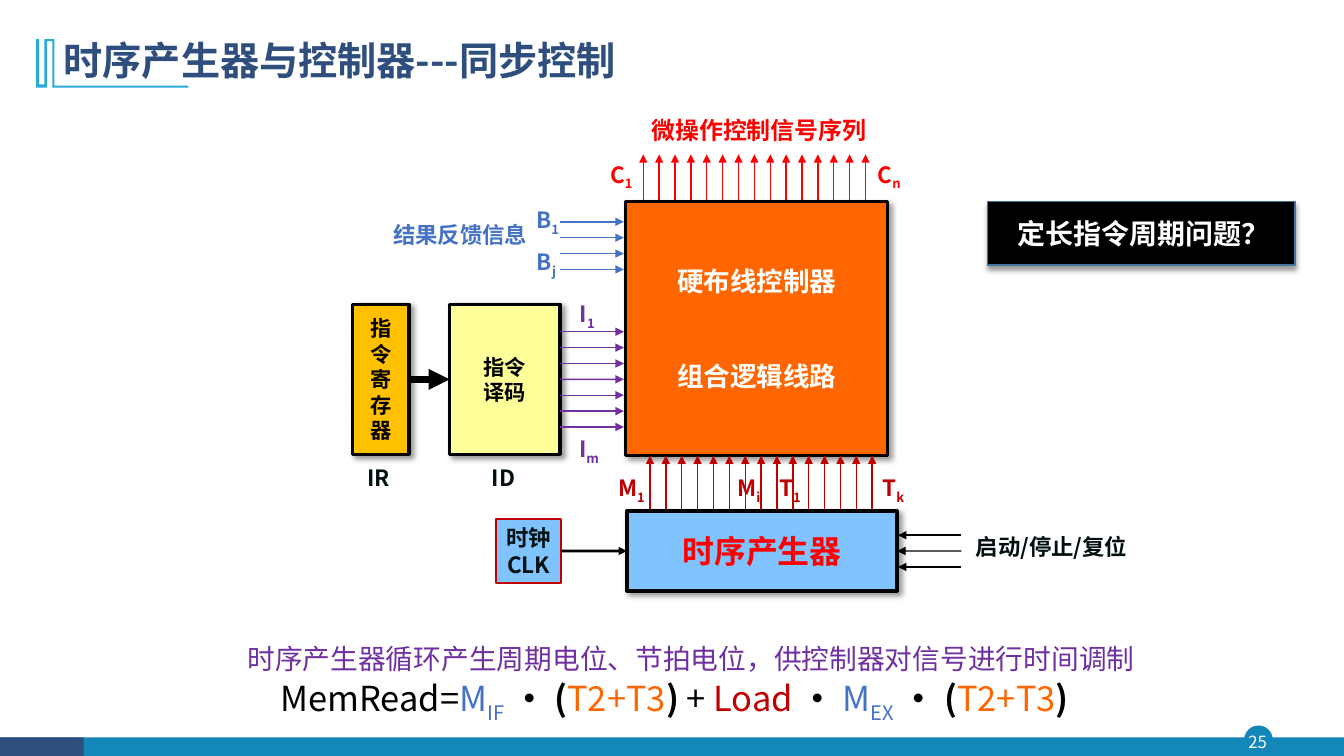
"""Build the slide on the timing generator and the hardwired controller."""
import lxml.etree
import pptx
import pptx.dml.color
import pptx.enum.shapes
import pptx.enum.text
import pptx.oxml.ns
import pptx.util

Cm, Pt, qn = pptx.util.Cm, pptx.util.Pt, pptx.oxml.ns.qn
SHAPE = pptx.enum.shapes.MSO_SHAPE
ALIGN = pptx.enum.text.PP_ALIGN
ANCHOR = pptx.enum.text.MSO_ANCHOR
FONT = "Noto Sans CJK SC"
RED, WINE, BLUE, PLUM = "FF0000", "C00000", "4472C4", "7030A0"
BLACK, WHITE, INK, FLAME, SKY = "000000", "FFFFFF", "001010", "FF6600", "7FC4FF"
TEAL, NAVY = "1387B7", "2E4E7E"
GAP = 0.4


def color(code):
    """Turn a hex string into a colour."""
    return pptx.dml.color.RGBColor.from_string(code)


def add(parent, tag, **attrs):
    """Append a drawing element."""
    return lxml.etree.SubElement(parent, qn(tag), attrs)


def style(run, size, hue, bold=False, low=False, face=FONT):
    """Format one run."""
    font = run.font
    font.size, font.bold, font.name = Pt(size), bold, face
    font.color.rgb = color(hue)
    props = run._r.get_or_add_rPr()
    add(props, "a:ea", typeface=FONT)
    if low:
        props.set("baseline", "-25000")


def write(frame, text, size, hue, bold=True, face=FONT, gap=0):
    """Fill a frame with centred lines of one style."""
    frame.text = text
    for k, para in enumerate(frame.paragraphs):
        para.alignment = ALIGN.CENTER
        para.line_spacing = Pt(round(size * 1.2, 1))
        if k:
            para.space_before = Pt(gap)
        for run in para.runs:
            style(run, size, hue, bold, face=face)


def blend(frame, size, parts):
    """Fill a frame with one line of (text, hue, bold, low) parts."""
    para = frame.paragraphs[0]
    para.alignment = ALIGN.CENTER
    para.line_spacing = Pt(round(size * 1.4, 1))
    for text, hue, bold, low in parts:
        run = para.add_run()
        run.text = text
        style(run, size, hue, bold, low)


def area(slide, x, y, w, h=0.94, wrap=True):
    """Add an empty text box and return its frame."""
    frame = slide.shapes.add_textbox(Cm(x), Cm(y), Cm(w), Cm(h)).text_frame
    frame.word_wrap = wrap
    return frame


def label(slide, x, y, w, name, hue):
    """Add a signal name whose second letter is a subscript."""
    parts = [(name[0], hue, True, False), (name[1], hue, True, True)]
    blend(area(slide, x, y, w, wrap=False), 16, parts)


def block(slide, x, y, w, h, fill, edge=None, width=2.5, turn=None, kind=SHAPE.RECTANGLE):
    """Add a filled shape, with a shadow cast at an angle if one is given."""
    shape = slide.shapes.add_shape(kind, Cm(x), Cm(y), Cm(w), Cm(h))
    shape.fill.solid()
    shape.fill.fore_color.rgb = color(fill)
    if edge:
        shape.line.color.rgb = color(edge)
        shape.line.width = Pt(width)
    else:
        shape.line.fill.background()
    shape.shadow.inherit = False
    if turn:
        effects = shape.element.spPr.find(qn("a:effectLst"))
        cast = add(effects, "a:outerShdw", blurRad=str(Pt(4)), dist=str(Pt(3)),
                   dir=str(turn * 60000), algn="ctr", rotWithShape="0")
        add(add(cast, "a:srgbClr", val=BLACK), "a:alpha", val="40000")
    shape.text_frame.vertical_anchor = ANCHOR.MIDDLE
    shape.text_frame.word_wrap = True
    return shape


def arrow(slide, x, y, dx, dy, hue, width=1):
    """Add an arrow from a point along an offset."""
    line = slide.shapes.add_connector(pptx.enum.shapes.MSO_CONNECTOR.STRAIGHT,
                                      Cm(x), Cm(y), Cm(x + dx), Cm(y + dy))
    line.line.color.rgb = color(hue)
    line.line.width = Pt(width)
    props = line.element.spPr
    add(props.find(qn("a:ln")), "a:tailEnd", type="triangle")
    add(props, "a:effectLst")
    return line


def fan(slide, x, y, dx, dy, count, hue):
    """Add parallel arrows spaced across their direction."""
    across, down = (0, GAP) if dx else (GAP, 0)
    return [arrow(slide, x + k * across, y + k * down, dx, dy, hue) for k in range(count)]


def join(tail, head, line):
    """Join a line from the right side of one block to the left of another."""
    line.begin_connect(tail, 3)
    line.end_connect(head, 1)


def footer(slide, x, y, w, h):
    """Draw the bottom bar and the page number."""
    block(slide, x + 31.37, y - 0.28, 0.69, 0.69, TEAL, TEAL, 1, kind=SHAPE.OVAL)
    block(slide, x, y, w, h, TEAL)
    block(slide, x, y, 2.11, h, NAVY)
    frame = area(slide, x + 31.29, y - 0.28, 0.81, 0.79)
    frame.margin_left = frame.margin_right = frame.margin_top = frame.margin_bottom = 0
    frame.vertical_anchor = ANCHOR.MIDDLE
    write(frame, "25", 12, WHITE, False)


def header(slide, x, y, w, h):
    """Draw the corner mark and place the title."""
    edge = [(0.46, 0), (0.46, 1.17), (3.84, 1.17), (3.84, 1.22), (0.41, 1.22), (0.41, 0.05),
            (0.28, 0.05), (0.28, 1.22), (0, 1.22), (0, 0), (0.08, 0), (0.08, 1.14),
            (0.21, 1.14), (0.21, 0)]
    dots = [(Cm(x + a), Cm(y + b)) for a, b in edge]
    outline = slide.shapes.build_freeform(*dots[0])
    outline.add_line_segments(dots[1:], close=True)
    mark = outline.convert_to_shape()
    mark.fill.solid()
    mark.fill.fore_color.rgb = color("28A9D6")
    mark.line.fill.background()
    mark.shadow.inherit = False
    title = slide.shapes.title
    title.left, title.top, title.width, title.height = Cm(x + 0.44), Cm(y - 0.28), Cm(w), Cm(h)
    frame = title.text_frame
    frame.text = "时序产生器与控制器---同步控制"
    frame.vertical_anchor = ANCHOR.MIDDLE
    para = frame.paragraphs[0]
    para.alignment, para.line_spacing = ALIGN.LEFT, 0.9
    style(para.runs[0], 28, NAVY, True)


def control(slide, x, y, w, h):
    """Draw the controller with its outputs and feedback."""
    write(area(slide, x + 0.36, y - 2.29, 5.99, 0.99, False), "微操作控制信号序列", 17.1, RED)
    fan(slide, x + 0.44, y, 0, -1.19, 15, RED)
    label(slide, x - 0.68, y - 1.17, 1.14, "C1", RED)
    label(slide, x + 6.07, y - 1.17, 1.14, "Cn", RED)
    fan(slide, x - 1.65, y + 0.51, 1.6, 0, 4, BLUE)
    label(slide, x - 2.54, y - 0.03, 1.14, "B1", BLUE)
    label(slide, x - 2.51, y + 1.04, 1.02, "Bj", BLUE)
    write(area(slide, x - 6.14, y + 0.38, 3.94, wrap=False), "结果反馈信息", 16, BLUE)
    core = block(slide, x, y, w, h, FLAME, BLACK, turn=45)
    write(core.text_frame, "硬布线控制器\n组合逻辑线路", 19, WHITE, face="Karla", gap=45)


def decode(slide, x, y, w, h):
    """Draw the instruction register and the decoder."""
    store = block(slide, x, y, 1.42, h, "FFC000", BLACK, turn=45)
    write(store.text_frame, "指令寄存器", 15.2, BLACK, face="Karla")
    coder = block(slide, x + w - 2.79, y, 2.79, h, "FFFF99", BLACK, turn=45)
    write(coder.text_frame, "指令\n译码", 15.2, BLACK, face="Karla")
    join(store, coder, arrow(slide, x + 1.42, y + h / 2, 1, 0, BLACK, 5))
    for name, shift in (("IR", 0), ("ID", 3.15)):
        write(area(slide, x + shift, y + h + 0.13, 1.3), name, 16, INK)
    lines = fan(slide, x + w, y + h / 2 - 3 * GAP, 1.6, 0, 7, PLUM)
    lines[3].begin_connect(coder, 3)
    label(slide, x + w + 0.21, y - 0.25, 0.94, "I1", PLUM)
    label(slide, x + w + 0.18, y + h - 0.63, 1.09, "Im", PLUM)


def timing(slide, x, y, w, h):
    """Draw the timing generator, its clock, inputs and outputs."""
    fan(slide, x + 0.58, y, 0, -1.4, 15, WINE)
    for name, shift, wide in (("M1", -0.56, 1.35), ("Mi", 2.46, 1.22),
                              ("T1", 3.55, 1.12), ("Tk", 6.17, 1.09)):
        label(slide, x + shift, y - 1.07, wide, name, WINE)
    timer = block(slide, x, y, w, h, SKY, BLACK, turn=45)
    write(timer.text_frame, "时序产生器", 22.8, RED, face="Karla")
    clock = block(slide, x - 3.3, y + h / 2 - 0.81, 1.65, 1.62, SKY, WINE, 1.5)
    clock.text_frame.word_wrap = False
    write(clock.text_frame, "时钟\nCLK", 16, INK)
    join(clock, timer, arrow(slide, x - 1.65, y + h / 2, 1.65, 0, BLACK, 2))
    lines = fan(slide, x + w + 1.62, y + h / 2 - GAP, -1.6, 0, 3, BLACK)
    lines[1].end_connect(timer, 3)
    write(area(slide, x + 7.92, y + 0.43, 5.56), "启动/停止/复位", 16, INK)


def query(slide, x, y, w, h):
    """Draw the question panel."""
    block(slide, x, y, w, h, BLACK, "43739E", 1, turn=90)
    write(area(slide, x + 0.26, y + 0.25, w - 0.41, 1.12), "定长指令周期问题？", 20, WHITE)


def notes(slide, x, y, w, h):
    """Write the summary and the formula."""
    blend(area(slide, x + 1.55, y, 27.66, 1.22), 34.1, [
        ("时序产生器循环产生周期电位、节拍电位，供控制器对信号进行时间调制", PLUM, False, True)])
    beat = [(" · (", BLACK, True, False), ("T2+T3", FLAME, False, False)]
    blend(area(slide, x, y + h - 1.32, w, 1.32), 24.6, [
        ("MemRead=", BLACK, False, False), ("M", BLUE, False, False), ("IF", BLUE, False, True),
        *beat, (") ", BLACK, True, False), ("+ ", BLACK, False, False),
        ("Load ", WINE, False, False), ("· ", BLACK, True, False),
        ("M", BLUE, False, False), ("EX", BLUE, False, True),
        *beat, (")", BLACK, True, False)])


def main():
    """Build and save the slide."""
    deck = pptx.Presentation()
    deck.slide_width, deck.slide_height = Cm(33.87), Cm(19.05)
    slide = deck.slides.add_slide(deck.slide_layouts[5])
    footer(slide, 0, 18.58, 33.87, 0.47)
    header(slide, 0.91, 0.99, 29.21, 1.73)
    decode(slide, 8.89, 7.67, 5.23, 3.78)
    control(slide, 15.77, 5.08, 6.6, 6.4)
    timing(slide, 15.8, 12.88, 6.81, 2.01)
    query(slide, 24.89, 5.08, 7.75, 1.6)
    notes(slide, 2.03, 15.19, 29.95, 3.05)
    deck.save("out.pptx")


if __name__ == "__main__":
    main()
